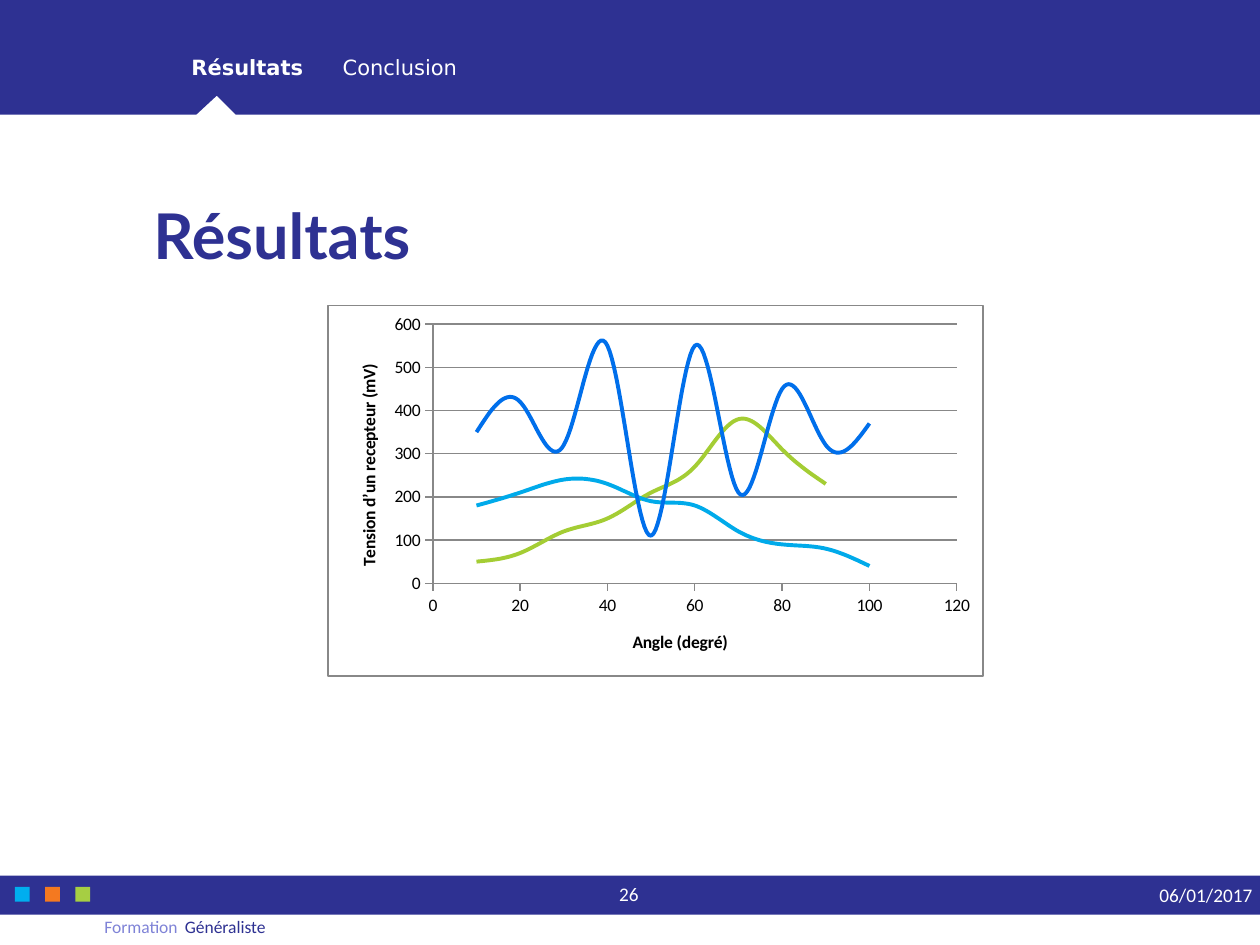
"""Build the results slide with its angle and voltage chart."""
import dataclasses
import typing

import lxml.etree
import pptx
import pptx.chart.data
import pptx.dml.color
import pptx.enum.chart
import pptx.enum.shapes
import pptx.enum.text
import pptx.oxml
import pptx.oxml.ns
import pptx.util

Cm = pptx.util.Cm
Pt = pptx.util.Pt
Align = pptx.enum.text.PP_ALIGN
Anchor = pptx.enum.text.MSO_ANCHOR
Kind = pptx.enum.shapes.MSO_SHAPE


@dataclasses.dataclass(frozen=True)
class Theme:
    navy: str = "2E3192"
    lilac: str = "7F83D7"
    cyan: str = "00AEEF"
    orange: str = "F47920"
    green: str = "A6CE43"
    white: str = "FFFFFF"
    black: str = "000000"
    gray: str = "888888"
    body: str = "Calibri"
    head: str = "Lato"
    menu: str = "DejaVu Sans"
    title: float = 36
    nav: float = 12
    foot: float = 11
    small: float = 10
    curve: float = 2.25
    rule: float = 0.75


class Box(typing.NamedTuple):
    left: float
    top: float
    width: float
    height: float

    def size(self) -> list:
        return [Cm(side) for side in self]


class Note(typing.NamedTuple):
    text: str
    box: Box
    size: float
    color: str
    align: Align = Align.LEFT
    anchor: Anchor = Anchor.TOP
    inset: float = 0


class Curve(typing.NamedTuple):
    name: str
    color: str
    values: tuple


class Axis(typing.NamedTuple):
    label: str
    top: int
    step: int
    grid: bool
    spot: tuple
    turn: int


THEME = Theme()
WIDTH, HEIGHT = 25.4, 19.05
BAR = Box(0, 17.65, WIDTH, 0.79)
NOTES = (
    Note("Généraliste", Box(3.73, 18.47, 12.7, 0.61), THEME.small, THEME.navy),
    Note("Formation", Box(0, 18.47, 3.58, 0.61), THEME.small, THEME.lilac, Align.RIGHT),
    Note("06/01/2017", Box(20.83, BAR.top, 4.42, BAR.height), THEME.foot,
         THEME.white, Align.RIGHT, Anchor.MIDDLE),
    Note("26", Box(11.73, BAR.top, 1.9, BAR.height), THEME.foot,
         THEME.white, Align.CENTER, inset=0.13),
)
CURVES = (
    Curve("Series 1", "006FEB", (350, 420, 320, 550, 110, 550, 210, 450, 320, 370)),
    Curve("Series 2", "00AAEA", (180, 210, 240, 230, 190, 180, 120, 90, 80, 40)),
    Curve("Series 3", "A4CD34", (50, 70, 120, 150, 210, 270, 380, 310, 230)),
)
AXES = (
    Axis("Angle (degré)", 120, 20, False, (0.46, 0.87), 0),
    Axis("Tension d’un recepteur (mV)", 600, 100, True, (0.04, 0.15), -5400000),
)


def rgb(color: str) -> pptx.dml.color.RGBColor:
    return pptx.dml.color.RGBColor.from_string(color)


def write(frame, text: str, *, size: float, color: str, font: str = THEME.body,
          bold: bool = False, align: Align = Align.LEFT) -> None:
    line = frame.paragraphs[0]
    line.alignment = align
    run = line.add_run()
    run.text = text
    run.font.size, run.font.name, run.font.bold = Pt(size), font, bold
    run.font.color.rgb = rgb(color)


def paint(shape, color: str) -> None:
    shape.shadow.inherit = False
    shape.fill.solid()
    shape.fill.fore_color.rgb = rgb(color)
    shape.line.fill.background()


def block(slide, box: Box, color: str) -> None:
    paint(slide.shapes.add_shape(Kind.RECTANGLE, *box.size()), color)


def label(slide, note: Note) -> None:
    frame = slide.shapes.add_textbox(*note.box.size()).text_frame
    frame.word_wrap = True
    frame.vertical_anchor = note.anchor
    frame.margin_left = frame.margin_right = Cm(note.inset)
    frame.margin_top = frame.margin_bottom = Cm(note.inset)
    write(frame, note.text, size=note.size, color=note.color, align=note.align)


def header(slide) -> None:
    low, tip = 2.31, 1.93
    path = [(WIDTH, 0), (WIDTH, low), (4.75, low), (4.37, tip), (3.96, low), (0, low)]
    pen = slide.shapes.build_freeform(0, 0)
    pen.add_line_segments([(Cm(x), Cm(y)) for x, y in path], close=True)
    paint(pen.convert_to_shape(), THEME.navy)
    frame = slide.shapes.add_textbox(*Box(3.61, 0.97, 18.69, 0.76).size()).text_frame
    frame.word_wrap = True
    props = frame.paragraphs[0]._p.get_or_add_pPr()
    tabs = lxml.etree.SubElement(props, pptx.oxml.ns.qn("a:tabLst"))
    lxml.etree.SubElement(tabs, pptx.oxml.ns.qn("a:tab"), pos=str(Cm(3.05)), algn="l")
    for text, bold in (("Résultats", True), ("\tConclusion", False)):
        write(frame, text, size=THEME.nav, color=THEME.white, font=THEME.menu, bold=bold)


def title(slide) -> None:
    head = slide.shapes.title
    head.left, head.top, head.width, head.height = Box(2.84, 2.54, 19.71, 3.07).size()
    frame = head.text_frame
    frame.auto_size = pptx.enum.text.MSO_AUTO_SIZE.NONE
    frame.vertical_anchor = Anchor.BOTTOM
    write(frame, "Résultats", size=THEME.title, color=THEME.navy, font=THEME.head, bold=True)


def place(node, index: int, **spots: float) -> None:
    for old in node.xpath("c:layout"):
        node.remove(old)
    inner = '<c:layoutTarget val="inner"/>' if "w" in spots else ""
    modes = "".join(f'<c:{key}Mode val="edge"/>' for key in "xy")
    sides = "".join(f'<c:{key} val="{value}"/>' for key, value in spots.items())
    node.insert(index, pptx.oxml.parse_xml(
        f'<c:layout {pptx.oxml.ns.nsdecls("c")}><c:manualLayout>{inner}{modes}{sides}'
        "</c:manualLayout></c:layout>"))


def panel(edge: str):
    return pptx.oxml.parse_xml(
        f'<c:spPr {pptx.oxml.ns.nsdecls("c", "a")}><a:solidFill><a:srgbClr val="{THEME.white}"/>'
        f'</a:solidFill><a:ln w="{Pt(THEME.rule)}">{edge}</a:ln></c:spPr>')


def stroke(line, color: str, width: float) -> None:
    line.color.rgb = rgb(color)
    line.width = Pt(width)


def scale(axis, data: Axis) -> None:
    axis.minimum_scale, axis.maximum_scale, axis.major_unit = 0, data.top, data.step
    axis.major_tick_mark = pptx.enum.chart.XL_TICK_MARK.OUTSIDE
    axis.has_major_gridlines = data.grid
    stroke(axis.format.line, THEME.gray, THEME.rule)
    if data.grid:
        stroke(axis.major_gridlines.format.line, THEME.gray, THEME.rule)
    frame = axis.axis_title.text_frame
    write(frame, data.label, size=THEME.small, color=THEME.black, bold=True, align=Align.CENTER)
    frame._txBody.bodyPr.set("rot", str(data.turn))
    place(axis.axis_title._element, 1, x=data.spot[0], y=data.spot[1])


def graph(slide) -> None:
    data = pptx.chart.data.XyChartData()
    for curve in CURVES:
        row = data.add_series(curve.name)
        for rank, value in enumerate(curve.values, 1):
            row.add_data_point(10 * rank, value)
    kind = pptx.enum.chart.XL_CHART_TYPE.XY_SCATTER_SMOOTH_NO_MARKERS
    chart = slide.shapes.add_chart(kind, *Box(6.6, 6.15, 13.23, 7.49).size(), data).chart
    chart.has_legend = chart.has_title = False
    chart.font.size, chart.font.name = Pt(THEME.small), THEME.body
    chart.font.color.rgb = rgb(THEME.black)
    chart.plots[0].vary_by_categories = False
    for row, curve in zip(chart.plots[0].series, CURVES):
        stroke(row.format.line, curve.color, THEME.curve)
        row._element.get_or_add_smooth().set("val", "1")
    for axis, item in zip((chart.category_axis, chart.value_axis), AXES):
        scale(axis, item)
    root = chart._chartSpace
    area = root.xpath("c:chart/c:plotArea")[0]
    place(area, 0, x=0.16, y=0.05, w=0.8, h=0.7)
    area.append(panel("<a:noFill/>"))
    edge = f'<a:solidFill><a:srgbClr val="{THEME.gray}"/></a:solidFill>'
    root.xpath("c:chart")[0].addnext(panel(edge))


def main() -> None:
    deck = pptx.Presentation()
    deck.slide_width, deck.slide_height = Cm(WIDTH), Cm(HEIGHT)
    slide = deck.slides.add_slide(deck.slide_layouts[0])
    spare = slide.placeholders[1].element
    spare.getparent().remove(spare)
    header(slide)
    block(slide, BAR, THEME.navy)
    for rank, color in enumerate((THEME.cyan, THEME.orange, THEME.green)):
        block(slide, Box(0.3 + 0.61 * rank, 17.88, 0.3, 0.3), color)
    title(slide)
    for note in NOTES:
        label(slide, note)
    graph(slide)
    deck.save("out.pptx")


if __name__ == "__main__":
    main()
